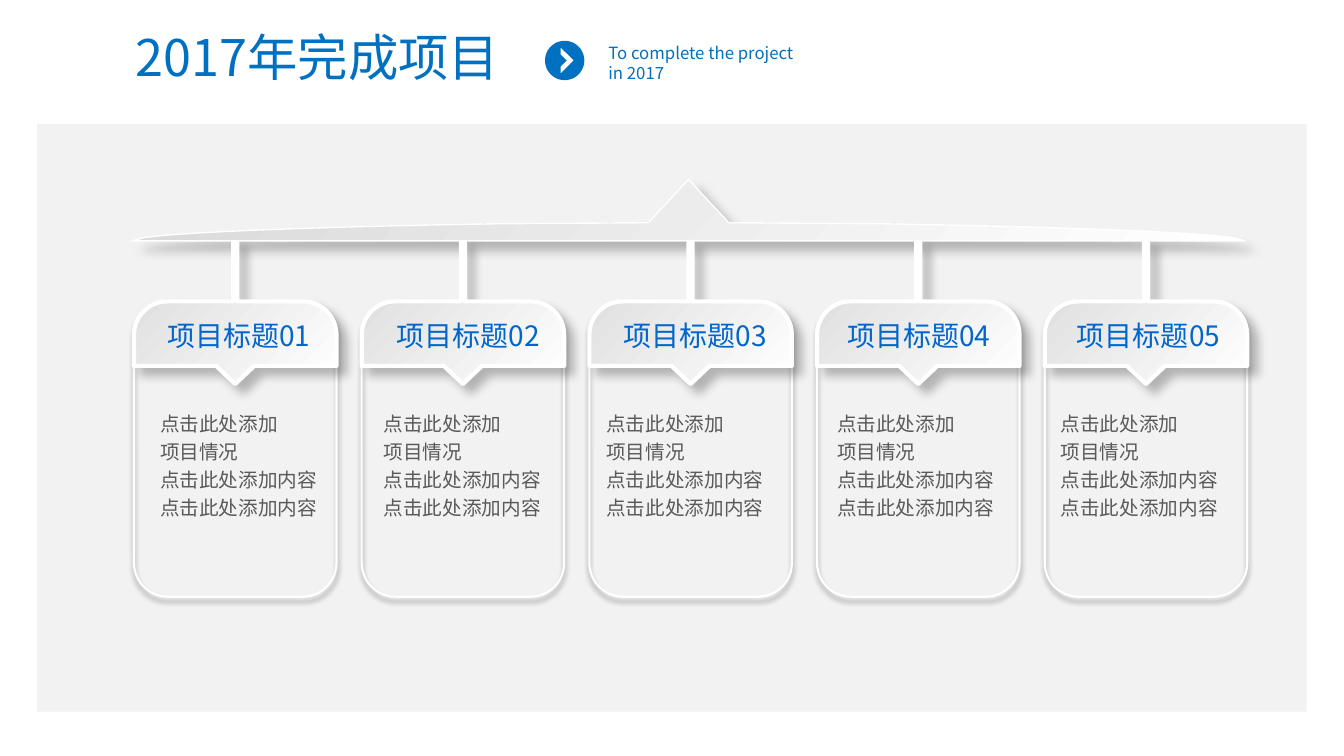
import math

from lxml import etree
from pptx import Presentation
from pptx.dml.color import RGBColor
from pptx.enum import shapes, text
from pptx.oxml import ns
from pptx.util import Inches, Pt

COLORS = {
    "panel": "F2F2F2", "heading": "0070C0", "label": "0066CC",
    "body": "595959", "silver": "D9D9D9", "white": "FFFFFF", "black": "000000",
}
FONT = "Noto Sans CJK SC"
CARD_PITCH = 2.26
CARD_LINES = ["点击此处添加", "项目情况", "点击此处添加内容", "点击此处添加内容"]
# label, left of the label, left of the body text
CARDS = [
    ("项目标题01", 1.39, 1.49),
    ("项目标题02", 3.67, 3.71),
    ("项目标题03", 5.92, 5.92),
    ("项目标题04", 8.14, 8.21),
    ("项目标题05", 10.42, 10.43),
]


def color(name):
    return RGBColor.from_string(COLORS[name])


def add_text(page, lines, left, top, width, height, *, size, fill,
             align=text.PP_ALIGN.LEFT, spacing=None):
    box = page.shapes.add_textbox(*map(Inches, (left, top, width, height)))
    frame = box.text_frame
    frame.word_wrap = True
    frame.auto_size = text.MSO_AUTO_SIZE.SHAPE_TO_FIT_TEXT
    for i, line in enumerate(lines):
        para = frame.paragraphs[0] if i == 0 else frame.add_paragraph()
        para.alignment = align
        if spacing:
            para.line_spacing = Pt(spacing)
        span = para.add_run()
        span.text = line
        span.font.size = Pt(size)
        span.font.name = FONT
        span.font.color.rgb = color(fill)
        etree.SubElement(span.font._element, ns.qn("a:ea"), typeface=FONT)


def add_shadow(shape, alpha, blur, distance, angle):
    shape.shadow.inherit = False
    effects = shape._element.spPr.find(ns.qn("a:effectLst"))
    outer = etree.SubElement(
        effects, ns.qn("a:outerShdw"), blurRad=str(Pt(blur)),
        dist=str(Pt(distance)), dir=str(angle * 60000), algn="tl", rotWithShape="0")
    tint = etree.SubElement(outer, ns.qn("a:srgbClr"), val=COLORS["black"])
    etree.SubElement(tint, ns.qn("a:alpha"), val=str(alpha * 1000))


def add_outline(page, *contours):
    """Build one freeform from closed lists of points in inches."""
    contours = [[(Inches(x), Inches(y)) for x, y in points] for points in contours]
    builder = page.shapes.build_freeform(*contours[0][0], scale=1.0)
    for i, points in enumerate(contours):
        if i:
            builder.move_to(*points[0])
        builder.add_line_segments(points[1:], close=True)
    shape = builder.convert_to_shape()
    shape.shadow.inherit = False
    return shape


def arc(x, y, radius, start, end, steps):
    """Points on a circle, with degrees running clockwise from the right."""
    angles = [math.radians(start + (end - start) * i / steps) for i in range(steps + 1)]
    return [(x + radius * math.cos(a), y + radius * math.sin(a)) for a in angles]


def curve(*controls, steps=16):
    """Points on a cubic Bezier curve."""
    points = []
    for i in range(steps + 1):
        t = i / steps
        weights = ((1 - t) ** 3, 3 * t * (1 - t) ** 2, 3 * t * t * (1 - t), t ** 3)
        points.append(tuple(sum(w * c[axis] for w, c in zip(weights, controls))
                            for axis in (0, 1)))
    return points


def style_metal(shape, line_width):
    shape.fill.gradient()
    shape.fill.gradient_angle = 315
    for stop, name, position in zip(shape.fill.gradient_stops, ("silver", "white"), (0, 1)):
        stop.color.rgb = color(name)
        stop.position = position
    shape.line.color.rgb = color("white")
    shape.line.width = Pt(line_width)
    add_shadow(shape, alpha=25, blur=7, distance=8, angle=45)


def add_panel(page, left, top, width, height):
    panel = page.shapes.add_shape(shapes.MSO_SHAPE.RECTANGLE,
                                  *map(Inches, (left, top, width, height)))
    panel.shadow.inherit = False
    panel.fill.solid()
    panel.fill.fore_color.rgb = color("panel")
    panel.line.fill.background()


def add_header(page, left, top):
    add_text(page, ["2017年完成项目"], left, top, 4.94, 0.71, size=36, fill="heading",
             align=text.PP_ALIGN.CENTER)
    x, y = left + 4.925, top + 0.39
    chevron = [(x + 0.09, y), (x - 0.04, y + 0.13), (x - 0.04, y + 0.06),
               (x + 0.02, y), (x - 0.04, y - 0.06), (x - 0.04, y - 0.13)]
    badge = add_outline(page, arc(x, y, 0.195, 0, 360, 48), chevron)
    badge.fill.solid()
    badge.fill.fore_color.rgb = color("heading")
    badge.line.fill.background()
    add_text(page, ["To complete the project in 2017"], left + 5.26, top + 0.16, 2.13, 0.5,
             size=12, fill="heading")


def add_beam(page, left, top, width, height):
    middle, right, bottom = left + width / 2, left + width, top + height
    half = curve((middle + 1.9, top + 0.44), (middle + 3.68, top + 0.47),
                 (middle + 5.03, top + 0.52), (right - 0.11, top + 0.58))
    half = [(middle + 0.4, top + 0.43)] + half + [(right, bottom)]
    mirrored = [(2 * middle - x, y) for x, y in reversed(half)]
    style_metal(add_outline(page, [(middle, top)] + half + mirrored), 1)


def add_card(page, left, top, width, height):
    """Rounded card with a tab that hangs from a stem and points down."""
    frame = page.shapes.add_shape(shapes.MSO_SHAPE.ROUNDED_RECTANGLE,
                                  *map(Inches, (left, top, width, height)))
    frame.fill.background()
    frame.line.color.rgb = color("white")
    frame.line.width = Pt(1.5)
    add_shadow(frame, alpha=40, blur=4, distance=3, angle=90)

    middle, right, radius = left + width / 2, left + width, 0.33
    stem_top, tab_bottom = top - 0.59, top + 0.64
    half = [(middle + 0.02, stem_top), (middle + 0.02, top)]
    half += arc(right - radius, top + radius, radius, -90, 0, 12)
    half += [(right, tab_bottom), (middle + 0.19, tab_bottom), (middle, tab_bottom + 0.18)]
    mirrored = [(2 * middle - x, y) for x, y in reversed(half[:-1])]
    style_metal(add_outline(page, half + mirrored), 3)


def main():
    deck = Presentation()
    deck.slide_width, deck.slide_height = Inches(13.34), Inches(7.5)
    page = deck.slides.add_slide(deck.slide_layouts[6])
    add_panel(page, 0.37, 1.23, 12.6, 5.83)
    add_header(page, 0.68, 0.21)
    add_beam(page, 1.31, 1.78, 11.05, 0.61)
    for i, (label, label_left, body_left) in enumerate(CARDS):
        add_card(page, 1.33 + i * CARD_PITCH, 2.99, 2.01, 2.93)
        add_text(page, [label], label_left, 3.11, 1.96, 0.44, size=20, fill="label",
                 align=text.PP_ALIGN.CENTER)
        add_text(page, CARD_LINES, body_left, 3.99, 1.88, 1.5, size=14, fill="body",
                 spacing=20)
    deck.save("out.pptx")


if __name__ == "__main__":
    main()
